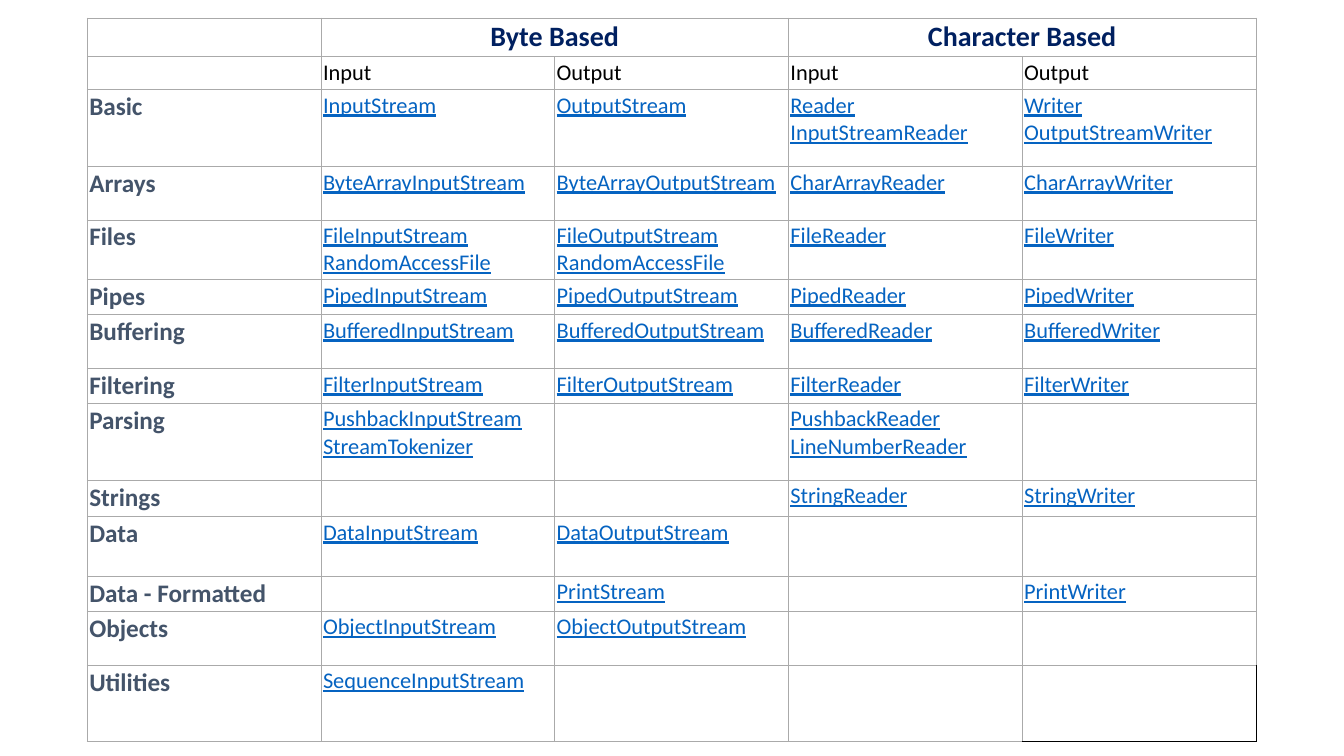
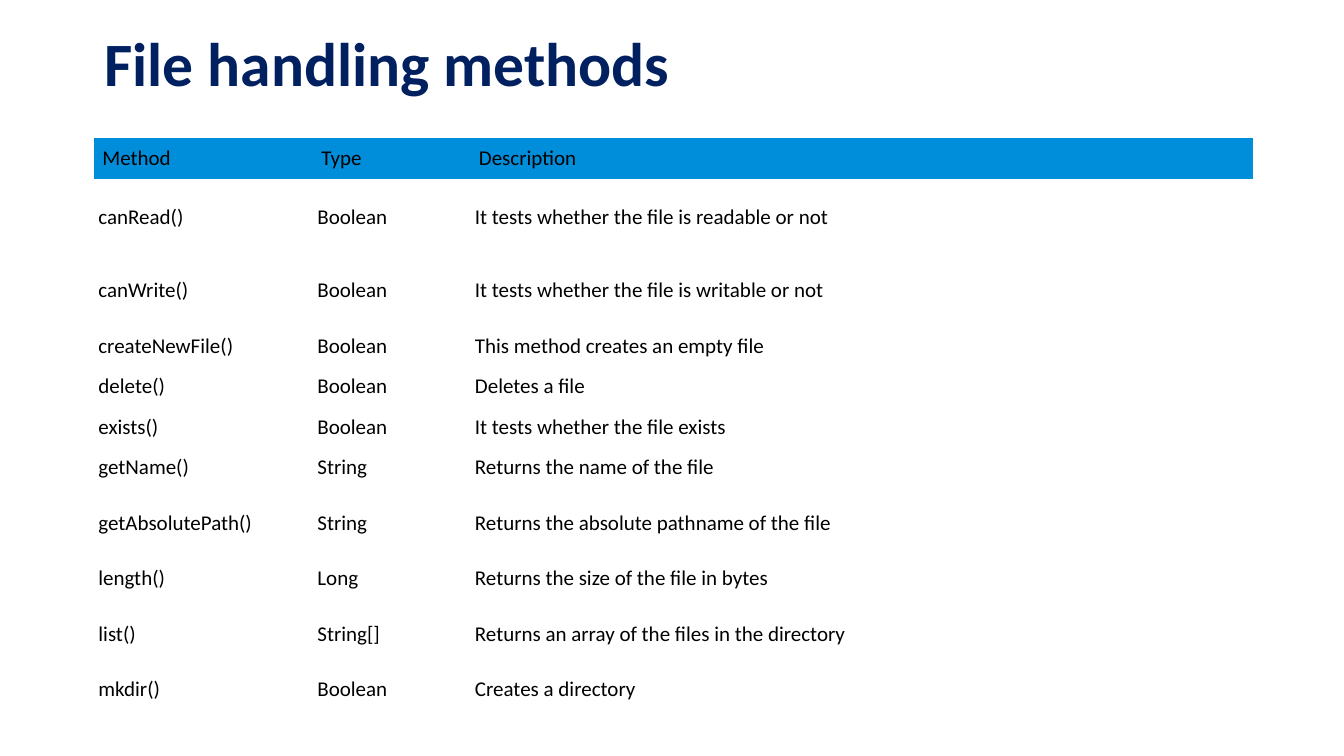
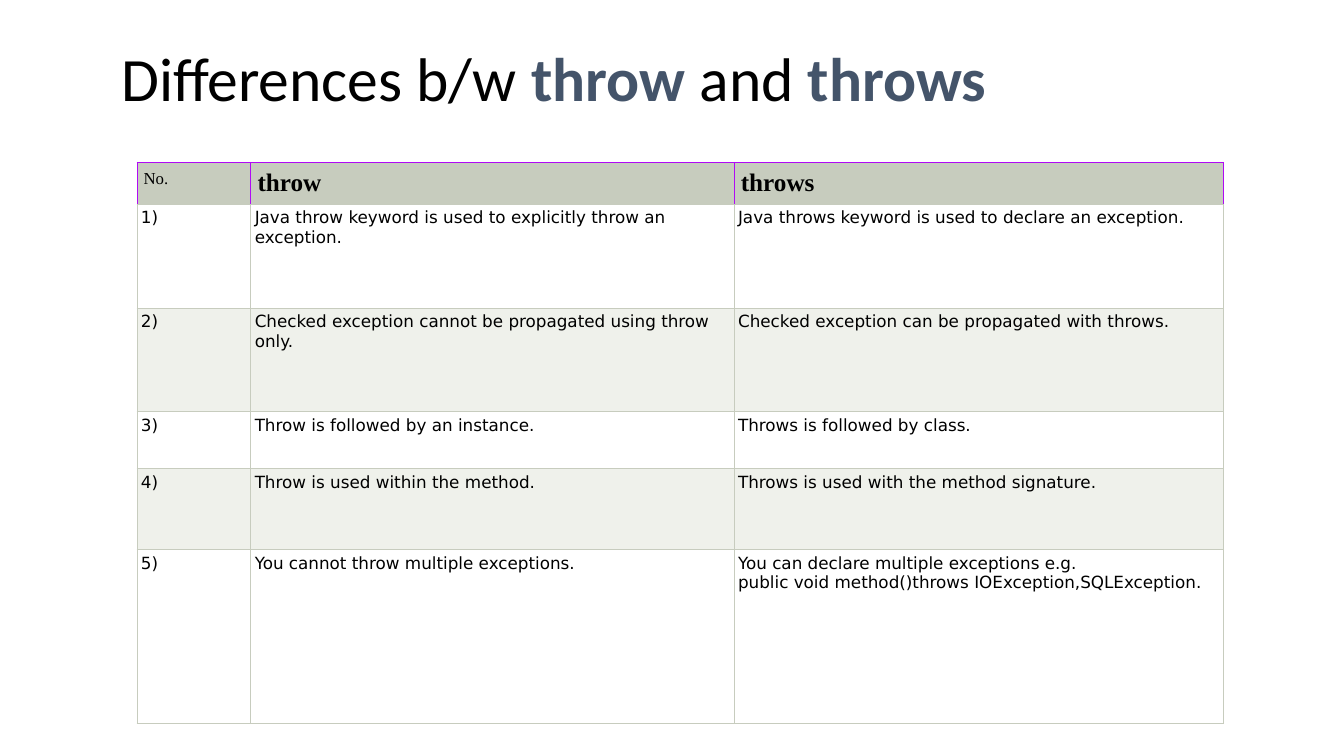
from lxml import etree
from pptx import Presentation
from pptx.dml.color import RGBColor
from pptx.enum.text import MSO_ANCHOR, MSO_AUTO_SIZE, PP_ALIGN
from pptx.oxml.ns import qn
from pptx.util import Cm, Pt

TOP, MIDDLE = MSO_ANCHOR.TOP, MSO_ANCHOR.MIDDLE
LEFT, CENTER = PP_ALIGN.LEFT, PP_ALIGN.CENTER
NO_FIT = MSO_AUTO_SIZE.NONE

BLACK = RGBColor(0x00, 0x00, 0x00)
WHITE = RGBColor(0xFF, 0xFF, 0xFF)
NAVY = RGBColor(0x00, 0x20, 0x60)
SLATE = RGBColor(0x44, 0x54, 0x6A)
LINK = RGBColor(0x05, 0x63, 0xC1)
GRAY = RGBColor(0xAA, 0xAA, 0xAA)
BLUE = RGBColor(0x00, 0x8D, 0xD9)
SAGE = RGBColor(0xC7, 0xCC, 0xBE)
PALE = RGBColor(0xEF, 0xF1, 0xEB)
PURPLE = RGBColor(0xB0, 0x0A, 0xF5)

NO_STYLE = "{2D5ABB26-0587-4C30-8999-92F81FD0307C}"
TITLE_ONLY, BLANK = 5, 6

STREAMS = [
    ("", "Byte Based", "", "Character Based", ""),
    ("", "Input", "Output", "Input", "Output"),
    ("Basic", "InputStream", "OutputStream",
     "Reader\nInputStreamReader", "Writer\nOutputStreamWriter"),
    ("Arrays", "ByteArrayInputStream", "ByteArrayOutputStream",
     "CharArrayReader", "CharArrayWriter"),
    ("Files", "FileInputStream\nRandomAccessFile",
     "FileOutputStream\nRandomAccessFile", "FileReader", "FileWriter"),
    ("Pipes", "PipedInputStream", "PipedOutputStream", "PipedReader", "PipedWriter"),
    ("Buffering", "BufferedInputStream", "BufferedOutputStream",
     "BufferedReader", "BufferedWriter"),
    ("Filtering", "FilterInputStream", "FilterOutputStream",
     "FilterReader", "FilterWriter"),
    ("Parsing", "PushbackInputStream\nStreamTokenizer", "",
     "PushbackReader\nLineNumberReader", ""),
    ("Strings", "", "", "StringReader", "StringWriter"),
    ("Data", "DataInputStream", "DataOutputStream", "", ""),
    ("Data - Formatted", "", "PrintStream", "", "PrintWriter"),
    ("Objects", "ObjectInputStream", "ObjectOutputStream", "", ""),
    ("Utilities", "SequenceInputStream", "", "", ""),
]
STREAM_HEIGHTS = [0.98, 0.83, 1.94, 1.34, 1.51, 0.88, 1.36,
                  0.88, 1.94, 0.91, 1.51, 0.88, 1.36, 1.92]

METHODS_TITLE = [("File handling methods", NAVY, True)]
METHODS = [
    ("Method", "Type", "Description"),
    ("canRead()", "Boolean", "It tests whether the file is readable or not"),
    ("canWrite()", "Boolean", "It tests whether the file is writable or not"),
    ("createNewFile()", "Boolean", "This method creates an empty file"),
    ("delete()", "Boolean", "Deletes a file"),
    ("exists()", "Boolean", "It tests whether the file exists"),
    ("getName()", "String", "Returns the name of the file"),
    ("getAbsolutePath()", "String", "Returns the absolute pathname of the file"),
    ("length()", "Long", "Returns the size of the file in bytes"),
    ("list()", "String[]", "Returns an array of the files in the directory"),
    ("mkdir()", "Boolean", "Creates a directory"),
]
METHOD_HEIGHTS = [1.02, 1.93, 1.78, 1.02, 1.02, 1.02, 1.02, 1.78, 1.02, 1.78, 1.02]

THROW_TITLE = [("Differences b/w ", BLACK, False), ("throw", SLATE, True),
               (" and ", BLACK, False), ("throws", SLATE, True)]
THROWS = [
    ("No.", "throw", "throws"),
    ("1)", "Java throw keyword is used to explicitly throw an exception.",
     "Java throws keyword is used to declare an exception."),
    ("2)", "Checked exception cannot be propagated using throw only.",
     "Checked exception can be propagated with throws."),
    ("3)", "Throw is followed by an instance.", "Throws is followed by class."),
    ("4)", "Throw is used within the method.",
     "Throws is used with the method signature."),
    ("5)", "You cannot throw multiple exceptions.",
     "You can declare multiple exceptions e.g.\n"
     "public void method()throws IOException,SQLException."),
]
THROW_HEIGHTS = [1.06, 2.61, 2.61, 1.44, 2.04, 4.38]


def font(size, color=BLACK, bold=False, underline=False, name="Calibri"):
    return {"size": Pt(size), "color": color, "bold": bold,
            "underline": underline, "name": name}


def cell_format(text_font, fill=None, anchor=TOP, align=LEFT,
                insets=(0.05, 0.05, 0.05, 0.05), borders=None):
    return {"font": text_font, "fill": fill, "anchor": anchor, "align": align,
            "insets": insets, "borders": borders or {}}


def edges(color, **changes):
    return {**dict.fromkeys("LRTB", color), **changes}


def add_run(p, text, fmt):
    r = p.add_run()
    r.text = text
    for key, value in fmt.items():
        if key == "color":
            r.font.color.rgb = value
        else:
            setattr(r.font, key, value)


def add_title(s, runs, left, top, width, height):
    title = s.shapes.title
    box = {"left": left, "top": top, "width": width, "height": height}
    for key, value in box.items():
        setattr(title, key, Cm(value))
    tf = title.text_frame
    tf.auto_size = NO_FIT
    tf.vertical_anchor = MIDDLE
    p = tf.paragraphs[0]
    p.alignment = LEFT
    p.line_spacing = 0.9
    for text, color, bold in runs:
        add_run(p, text, font(44, color, bold))


def add_border(cell, side, color):
    line = etree.SubElement(cell._tc.get_or_add_tcPr(), qn("a:ln" + side), w=str(Pt(0.6)))
    fill = etree.SubElement(line, qn("a:solidFill"))
    etree.SubElement(fill, qn("a:srgbClr"), val=str(color))


def fill_cell(cell, text, fmt):
    for side, color in fmt["borders"].items():
        add_border(cell, side, color)
    if fmt["fill"] is None:
        cell.fill.background()
    else:
        cell.fill.solid()
        cell.fill.fore_color.rgb = fmt["fill"]
    for side, inset in zip(("left", "top", "right", "bottom"), fmt["insets"]):
        setattr(cell, "margin_" + side, Cm(inset))
    cell.vertical_anchor = fmt["anchor"]
    p = cell.text_frame.paragraphs[0]
    p.alignment = fmt["align"]
    if not text:
        size = fmt["font"]["size"].pt
        p._p.get_or_add_endParaRPr().set("sz", str(int(size * 100)))
        return
    for i, line in enumerate(text.split("\n")):
        if i:
            p.add_line_break()
        add_run(p, line, fmt["font"])


def add_grid(s, rows, left, top, widths, heights, format_of):
    frame = s.shapes.add_table(len(rows), len(widths), Cm(left), Cm(top),
                               Cm(sum(widths)), Cm(sum(heights)))
    table = frame.table
    table.first_row = table.horz_banding = False
    table._tbl.tblPr[0].text = NO_STYLE
    for column, width in zip(table.columns, widths):
        column.width = Cm(width)
    for row, height in zip(table.rows, heights):
        row.height = Cm(height)
    for i, texts in enumerate(rows):
        for j, text in enumerate(texts):
            fill_cell(table.cell(i, j), text, format_of(i, j))
    return table


def stream_format(i, j):
    borders = edges(GRAY)
    if i == 0:
        return cell_format(font(20, NAVY, True), WHITE, MIDDLE, CENTER, borders=borders)
    if i == 1:
        return cell_format(font(16), WHITE, borders=borders)
    if j == 0:
        return cell_format(font(18, SLATE, True), WHITE, borders=borders)
    if (i, j) == (len(STREAMS) - 1, len(STREAMS[0]) - 1):
        return cell_format(font(16), borders=edges(GRAY, R=BLACK, B=BLACK))
    return cell_format(font(16, LINK, underline=True), WHITE, borders=borders)


def method_format(i, j):
    if i == 0:
        return cell_format(font(15), BLUE, MIDDLE, insets=(0.2, 0.1, 0.2, 0.1))
    return cell_format(font(15), None, MIDDLE, insets=(0.1, 0.1, 0.2, 0.1))


def throw_format(i, j):
    if i == 0:
        head = font(18 if j else 12, bold=j > 0, name="Times New Roman")
        return cell_format(head, SAGE, insets=(0.17,) * 4, borders=edges(PURPLE, B=SAGE))
    return cell_format(font(12, name="DejaVu Sans"), WHITE if i % 2 else PALE,
                       insets=(0.1,) * 4, borders=edges(SAGE))


def main():
    prs = Presentation()
    prs.slide_width, prs.slide_height = Cm(33.87), Cm(19.05)

    s = prs.slides.add_slide(prs.slide_layouts[BLANK])
    table = add_grid(s, STREAMS, 2.2, 0.45, [5.89] * 5, STREAM_HEIGHTS, stream_format)
    for j in (1, 3):
        table.cell(0, j).merge(table.cell(0, j + 1))

    s = prs.slides.add_slide(prs.slide_layouts[TITLE_ONLY])
    add_title(s, METHODS_TITLE, 2.38, 0.53, 29.21, 2.31)
    add_grid(s, METHODS, 2.38, 3.48, [5.52, 3.97, 19.72], METHOD_HEIGHTS, method_format)

    s = prs.slides.add_slide(prs.slide_layouts[TITLE_ONLY])
    add_title(s, THROW_TITLE, 2.8, 0.76, 28.73, 2.59)
    add_grid(s, THROWS, 3.45, 4.09, [2.87, 12.18, 12.34], THROW_HEIGHTS, throw_format)

    prs.save("out.pptx")


if __name__ == "__main__":
    main()
